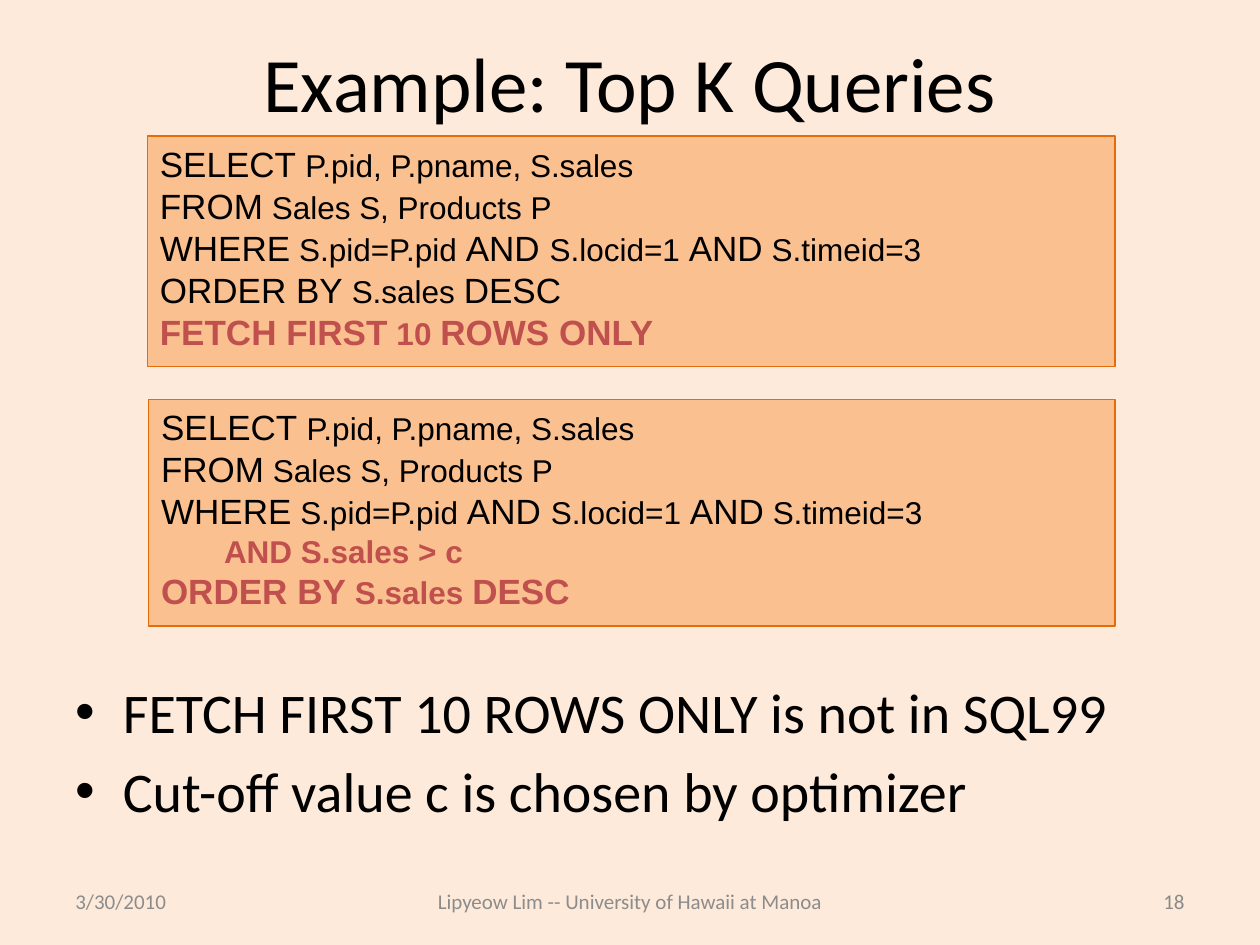
from pptx import Presentation
from pptx.dml.color import RGBColor
from pptx.enum.shapes import MSO_SHAPE
from pptx.enum.text import MSO_ANCHOR, PP_ALIGN
from pptx.util import Inches, Pt

RECTANGLE = MSO_SHAPE.RECTANGLE
TOP, MIDDLE = MSO_ANCHOR.TOP, MSO_ANCHOR.MIDDLE
LEFT, CENTER, RIGHT = PP_ALIGN.LEFT, PP_ALIGN.CENTER, PP_ALIGN.RIGHT

BACKGROUND = RGBColor(0xFD, 0xEA, 0xDA)
BOX_FILL = RGBColor(0xFA, 0xC0, 0x90)
BOX_LINE = RGBColor(0xE4, 0x6C, 0x0A)
BLACK = RGBColor(0, 0, 0)
RED = RGBColor(0xC0, 0x50, 0x4D)
GRAY = RGBColor(0x8C, 0x8C, 0x8C)
NUMBER_GRAY = RGBColor(0x89, 0x89, 0x89)

KEYWORD_SIZE, DETAIL_SIZE = Pt(20), Pt(18)


def place(shape, left, top, width, height):
    """Move and size a shape, in inches."""
    shape.left, shape.top = Inches(left), Inches(top)
    shape.width, shape.height = Inches(width), Inches(height)


def style(paragraph, font_name, size, color):
    """Set the font of a whole paragraph."""
    paragraph.font.name = font_name
    paragraph.font.size = size
    paragraph.font.color.rgb = color


presentation = Presentation()
presentation.slide_width, presentation.slide_height = Inches(10), Inches(7.5)
slide = presentation.slides.add_slide(presentation.slide_layouts[1])
slide.background.fill.solid()
slide.background.fill.fore_color.rgb = BACKGROUND

title, body = slide.placeholders
place(title, 0.5, 0.3, 9, 0.7)
title.text_frame.text = "Example: Top K Queries"
title.text_frame.vertical_anchor = MIDDLE
style(title.text_frame.paragraphs[0], "Calibri", Pt(44), BLACK)

place(body, 0.5, 5.33, 9, 1.37)
body.text_frame.text = (
    "FETCH FIRST 10 ROWS ONLY is not in SQL99\n"
    "Cut-off value c is chosen by optimizer"
)
for paragraph in body.text_frame.paragraphs:
    style(paragraph, "Calibri", Pt(32), BLACK)

footers = [
    (0.5, 2.33, LEFT, GRAY, "3/30/2010"),
    (3, 4, CENTER, GRAY, "Lipyeow Lim -- University of Hawaii at Manoa"),
    (7.17, 2.33, RIGHT, NUMBER_GRAY, "18"),
]
for left, width, alignment, color, text in footers:
    footer = slide.shapes.add_textbox(Inches(left), Inches(6.95), Inches(width), Inches(0.4))
    footer.text_frame.word_wrap = True
    footer.text_frame.vertical_anchor = MIDDLE
    paragraph = footer.text_frame.paragraphs[0]
    paragraph.text = text
    paragraph.alignment = alignment
    style(paragraph, "Calibri", Pt(12), color)

# Pieces of a line alternate between keyword size and detail size.
select_lines = [
    ["SELECT ", "P.pid, P.pname, S.sales"],
    ["FROM", " Sales S, Products P"],
    ["WHERE", " S.pid=P.pid ", "AND ", "S.locid=1 ", "AND", " S.timeid=3"],
]
order_line = ["ORDER BY", " S.sales ", "DESC"]
fetch_line = ["FETCH FIRST", " 10 ", "ROWS ONLY"]
cutoff_line = ["", "\tAND S.sales > c"]
queries = [
    ((1.17, 1.08, 7.68, 1.83), select_lines + [order_line, fetch_line], [fetch_line]),
    ((1.18, 3.17, 7.67, 1.8), select_lines + [cutoff_line, order_line], [cutoff_line, order_line]),
]
for position, lines, highlighted in queries:
    box = slide.shapes.add_shape(RECTANGLE, *map(Inches, position))
    box.shadow.inherit = False
    box.fill.solid()
    box.fill.fore_color.rgb = BOX_FILL
    box.line.color.rgb = BOX_LINE
    box.line.width = Pt(1)
    frame = box.text_frame
    frame.word_wrap = True
    frame.vertical_anchor = TOP
    for index, pieces in enumerate(lines):
        paragraph = frame.add_paragraph() if index else frame.paragraphs[0]
        paragraph.alignment = LEFT
        highlight = pieces in highlighted
        style(paragraph, "Arial", DETAIL_SIZE, RED if highlight else BLACK)
        paragraph.font.bold = highlight
        for number, piece in enumerate(pieces):
            if piece:
                run = paragraph.add_run()
                run.text = piece
                run.font.size = DETAIL_SIZE if number % 2 else KEYWORD_SIZE

presentation.save("out.pptx")
